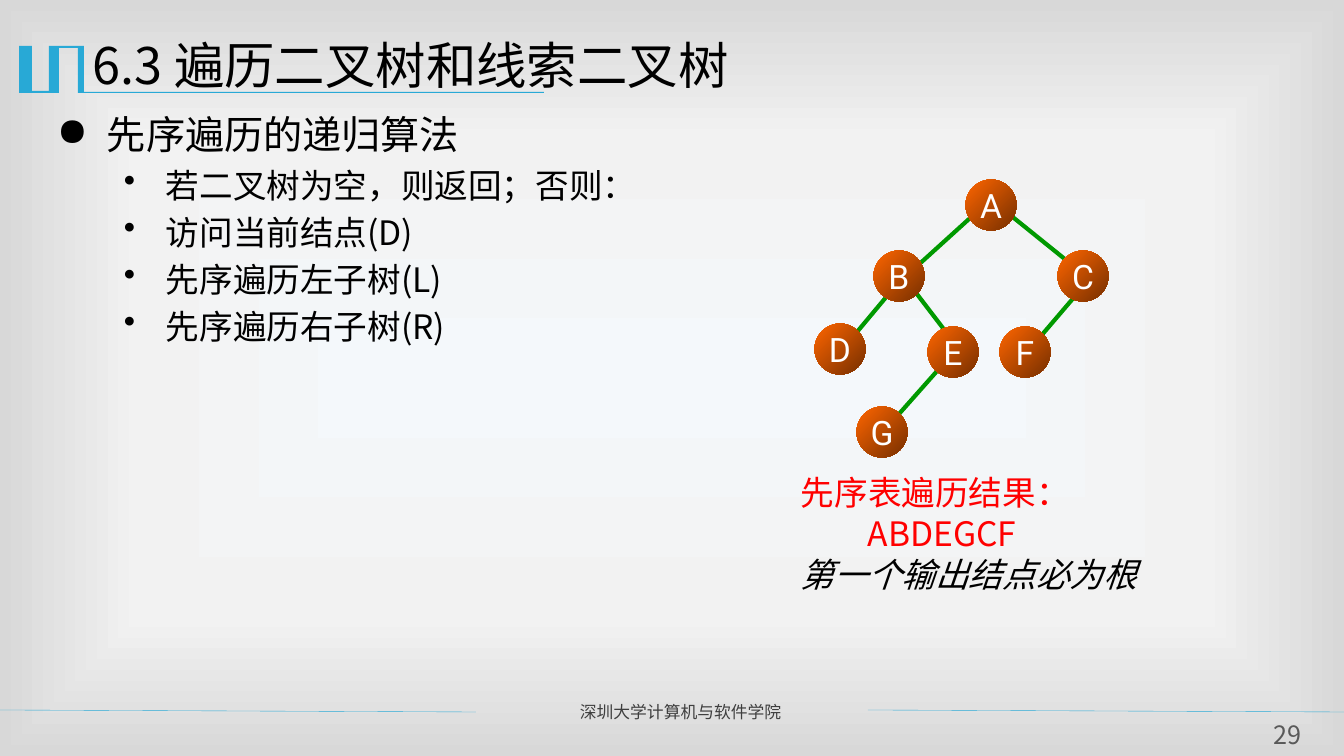
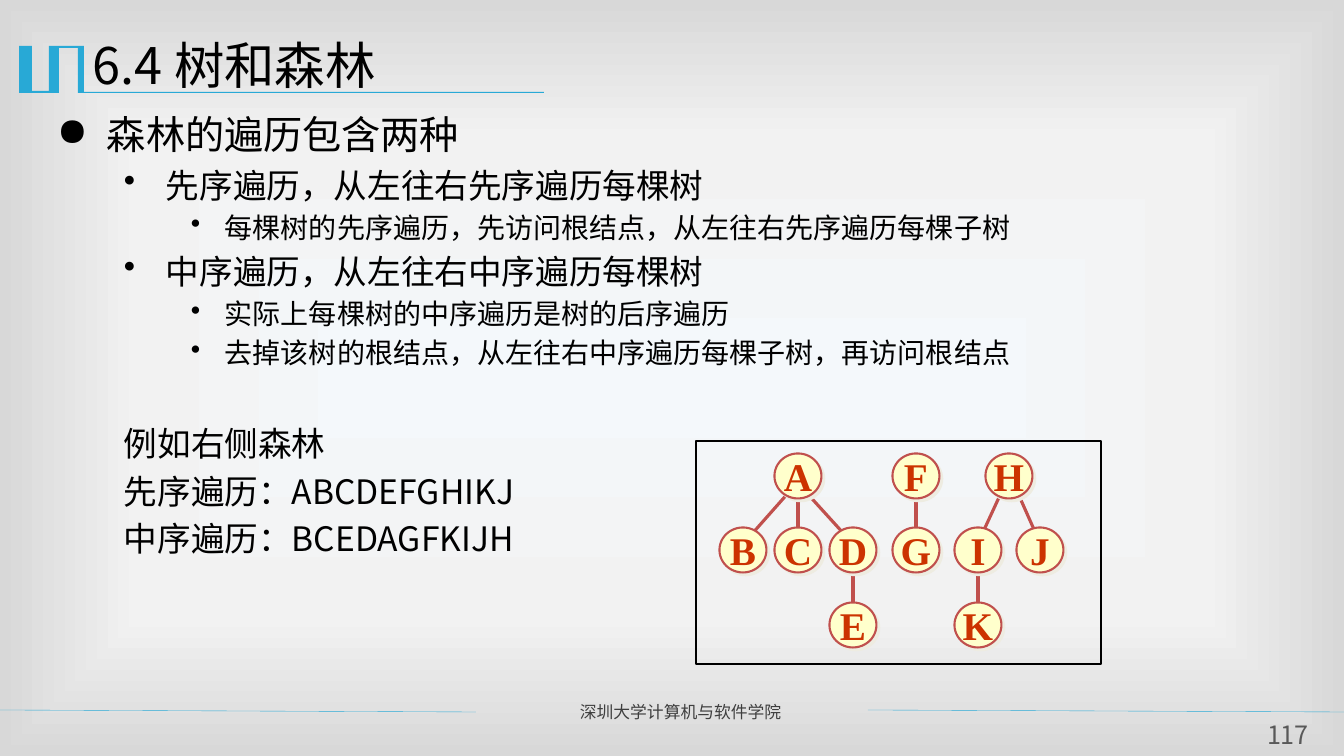
from dataclasses import dataclass

from lxml.etree import SubElement
from pptx import Presentation
from pptx.dml.color import RGBColor as RGB
from pptx.enum.shapes import MSO_CONNECTOR as LINK, MSO_SHAPE as SHAPE
from pptx.enum.text import MSO_ANCHOR as ANCHOR, PP_ALIGN as ALIGN
from pptx.oxml.ns import qn
from pptx.util import Pt

W, H = 1344, 756
PX = 12192000 / W


@dataclass(frozen=True)
class Theme:
    font: str = "Noto Sans CJK SC"
    black: str = "000000"
    accent: str = "28A9D6"
    gray: str = "3F3F3F"
    page: str = "595959"
    red: str = "FF0000"
    title: int = 36
    note: int = 24
    foot: int = 12
    num: int = 18
    lead: float = 1.22  # line height and paragraph gap, in type sizes
    gap: float = 0.18
    back: tuple = ((0, "F4F8FB"), (63, "F2F2F2"), (100, "D8D8D8"))


T = Theme()

FOOT = "深圳大学计算机与软件学院"
RULES = [(0, 710, 476, 712), (868, 710, 1344, 712)]
MARK = [(83, 46), (84, 46), (84, 92), (544, 92), (544, 93), (78, 93),
        (78, 48), (59, 48), (59, 93), (19, 93), (19, 46), (32, 46),
        (32, 91), (49, 91), (49, 46)]

# kind: left margin px, first-line indent px, size, bullet, extra lines above
KINDS = {
    "head": (50, -50, 28, "●", 0),
    "item": (109, -42, 24, "•", 0),
    "sub": (168, -34, 20, "•", 0),
    "text": (67, 0, 24, None, 0),
    "next": (67, 0, 24, None, 1),
}

BINARY = dict(
    size=(51, 51), font="Roboto", type=24, bold=False, ink="FFFFFF",
    fill=("FF6600", "762F00"), rim=None, link=("009900", 3),
    nodes={"A": (991, 205), "B": (899, 276), "C": (1083, 276),
           "D": (840, 349), "E": (953, 352), "F": (1025, 352),
           "G": (882, 432)},
    edges=[(1004, 210, 1066, 260), (979, 210, 915, 268),
           (903, 277, 857, 332), (907, 281, 946, 332),
           (1088, 281, 1041, 336), (946, 361, 899, 414)],
)
FOREST = dict(
    size=(47, 45), font="Times New Roman", type=28, bold=True, ink="CC3300",
    fill=("FFFFCC",), rim=("C0504D", 1.5), link=("C0504D", 2.25),
    nodes={"A": (798, 476), "F": (916, 476), "H": (1009, 476),
           "B": (743, 550), "C": (798, 550), "D": (853, 550),
           "G": (916, 550), "I": (978, 550), "J": (1040, 550),
           "E": (853, 625), "K": (978, 625)},
    edges=[(1017, 491, 1040, 543), (1002, 491, 978, 543),
           (805, 491, 845, 535), (790, 491, 751, 535),
           (978, 565, 978, 610), (853, 565, 853, 610),
           (916, 491, 916, 535), (798, 491, 798, 535)],
)

SLIDES = [
    dict(
        title="6.3 遍历二叉树和线索二叉树", page="29", tree=BINARY,
        body=[("head", "先序遍历的递归算法"),
              ("item", "若二叉树为空，则返回；否则："),
              ("item", "访问当前结点(D)"),
              ("item", "先序遍历左子树(L)"),
              ("item", "先序遍历右子树(R)")],
        notes=[("先序表遍历结果：\vABDEGCF", T.red, False),
               ("第一个输出结点必为根", T.black, True)],
    ),
    dict(
        title="6.4 树和森林", page="117", tree=FOREST,
        frame=(696, 441, 405, 223),
        body=[("head", "森林的遍历包含两种"),
              ("item", "先序遍历，从左往右先序遍历每棵树"),
              ("sub", "每棵树的先序遍历，先访问根结点，从左往右先序遍历每棵子树"),
              ("item", "中序遍历，从左往右中序遍历每棵树"),
              ("sub", "实际上每棵树的中序遍历是树的后序遍历"),
              ("sub", "去掉该树的根结点，从左往右中序遍历每棵子树，再访问根结点"),
              ("next", "例如右侧森林"),
              ("text", "先序遍历：ABCDEFGHIKJ"),
              ("text", "中序遍历：BCEDAGFKIJH")],
    ),
]


def px(*vals):
    return [round(v * PX) for v in vals]


def rgb(code):
    return RGB.from_string(code)


def style(para, size, ink, font=T.font, bold=False, slant=False):
    for run in para.runs:
        f = run.font
        f.name, f.size, f.bold, f.italic = font, Pt(size), bold, slant
        f.color.rgb = rgb(ink)
        SubElement(run._r.get_or_add_rPr(), qn("a:ea"), typeface=font)


def indent(para, left, first):
    props = para._p.get_or_add_pPr()
    props.set("marL", str(px(left)[0]))
    props.set("indent", str(px(first)[0]))
    return props


def block(slide, box, count=1, inset=True):
    """Add a text box and return its paragraphs."""
    frame = slide.shapes.add_textbox(*px(*box)).text_frame
    frame.word_wrap = True
    if not inset:
        frame.margin_left = frame.margin_right = 0
        frame.margin_top = frame.margin_bottom = 0
    for _ in range(count - 1):
        frame.add_paragraph()
    return frame.paragraphs


def write(para, text, size, ink, align=ALIGN.LEFT, slant=False):
    para.text = text
    para.alignment = align
    para.line_spacing = Pt(round(size * T.lead, 1))
    style(para, size, ink, slant=slant)


def line(slide, ends, ink, width):
    link = slide.shapes.add_connector(LINK.STRAIGHT, *px(*ends))
    link.line.color.rgb = rgb(ink)
    link.line.width = Pt(width)
    SubElement(link._element.spPr, qn("a:effectLst"))


def backdrop(master):
    master.background.fill.gradient()
    grad = master._element.find(".//" + qn("a:gradFill"))
    grad.clear()
    stops = SubElement(grad, qn("a:gsLst"))
    for pos, ink in T.back:
        stop = SubElement(stops, qn("a:gs"), pos=str(pos * 1000))
        SubElement(stop, qn("a:srgbClr"), val=ink)
    shade = SubElement(grad, qn("a:path"))
    shade.set("path", "rect")
    SubElement(shade, qn("a:fillToRect"),
               {side: "50000" for side in "ltrb"})


def chrome(slide, title, page):
    """Add the title, mark, footer and page number."""
    pen = slide.shapes.build_freeform(*MARK[0], scale=PX)
    pen.add_line_segments(MARK[1:], close=True)
    mark = pen.convert_to_shape()
    mark.shadow.inherit = False
    mark.fill.solid()
    mark.fill.fore_color.rgb = rgb(T.accent)
    mark.line.fill.background()
    for ends in RULES:
        line(slide, ends, T.accent, 0.25)
    write(block(slide, (570, 697, 287, 30))[0], FOOT, T.foot, T.gray)
    write(block(slide, (83, 28, 1210, 84))[0], title, T.title, T.black)
    write(block(slide, (1258, 719, 60, 31), inset=False)[0],
          page, T.num, T.page, ALIGN.CENTER)


def outline(slide, rows):
    paras = block(slide, (47, 105, 1223, 567), len(rows))
    for i, (para, (kind, text)) in enumerate(zip(paras, rows)):
        left, first, size, dot, extra = KINDS[kind]
        props = indent(para, left, first)
        if dot:
            SubElement(props, qn("a:buChar"), char=dot)
        write(para, text, size, T.black)
        if i:
            gap = size * (T.gap + extra * (T.lead + T.gap))
            para.space_before = Pt(round(gap, 1))


def remark(slide, rows):
    paras = block(slide, (791, 466, 443, 133), len(rows))
    for para, (text, ink, slant) in zip(paras, rows):
        indent(para, 67, -67)
        write(para, text, T.note, ink, slant=slant)


def node(slide, name, spot, look):
    (x, y), (w, h) = spot, look["size"]
    ball = slide.shapes.add_shape(
        SHAPE.OVAL, *px(x - w / 2, y - h / 2, w, h))
    ball.shadow.inherit = False
    if len(look["fill"]) > 1:
        ball.fill.gradient()
        ball.fill.gradient_angle = 315
        for stop, ink in zip(ball.fill.gradient_stops, look["fill"]):
            stop.color.rgb = rgb(ink)
    else:
        ball.fill.solid()
        ball.fill.fore_color.rgb = rgb(look["fill"][0])
    if look["rim"]:
        ink, width = look["rim"]
        ball.line.color.rgb = rgb(ink)
        ball.line.width = Pt(width)
        glow = SubElement(ball._element.spPr.find(qn("a:effectLst")),
                          qn("a:outerShdw"), dist=str(Pt(2.8)),
                          dir="2700000", algn="ctr", rotWithShape="0")
        SubElement(glow, qn("a:srgbClr"), val="EEECE1")
    else:
        ball.line.fill.background()
    frame = ball.text_frame
    frame.word_wrap = False
    frame.vertical_anchor = ANCHOR.MIDDLE
    frame.margin_left = frame.margin_right = 0
    frame.margin_top = frame.margin_bottom = 0
    frame.text = name
    para = frame.paragraphs[0]
    para.alignment = ALIGN.CENTER
    style(para, look["type"], look["ink"], look["font"], look["bold"])


def tree(slide, look):
    for ends in look["edges"]:
        line(slide, ends, *look["link"])
    for name, spot in look["nodes"].items():
        node(slide, name, spot, look)


def border(slide, box):
    rect = slide.shapes.add_shape(SHAPE.RECTANGLE, *px(*box))
    rect.shadow.inherit = False
    rect.fill.background()
    rect.line.color.rgb = rgb(T.black)
    rect.line.width = Pt(1.5)


def main():
    prs = Presentation()
    prs.slide_width, prs.slide_height = px(W, H)
    backdrop(prs.slide_master)
    for page in SLIDES:
        slide = prs.slides.add_slide(prs.slide_layouts[6])
        chrome(slide, page["title"], page["page"])
        outline(slide, page["body"])
        tree(slide, page["tree"])
        if "notes" in page:
            remark(slide, page["notes"])
        if "frame" in page:
            border(slide, page["frame"])
    prs.save("out.pptx")


if __name__ == "__main__":
    main()
